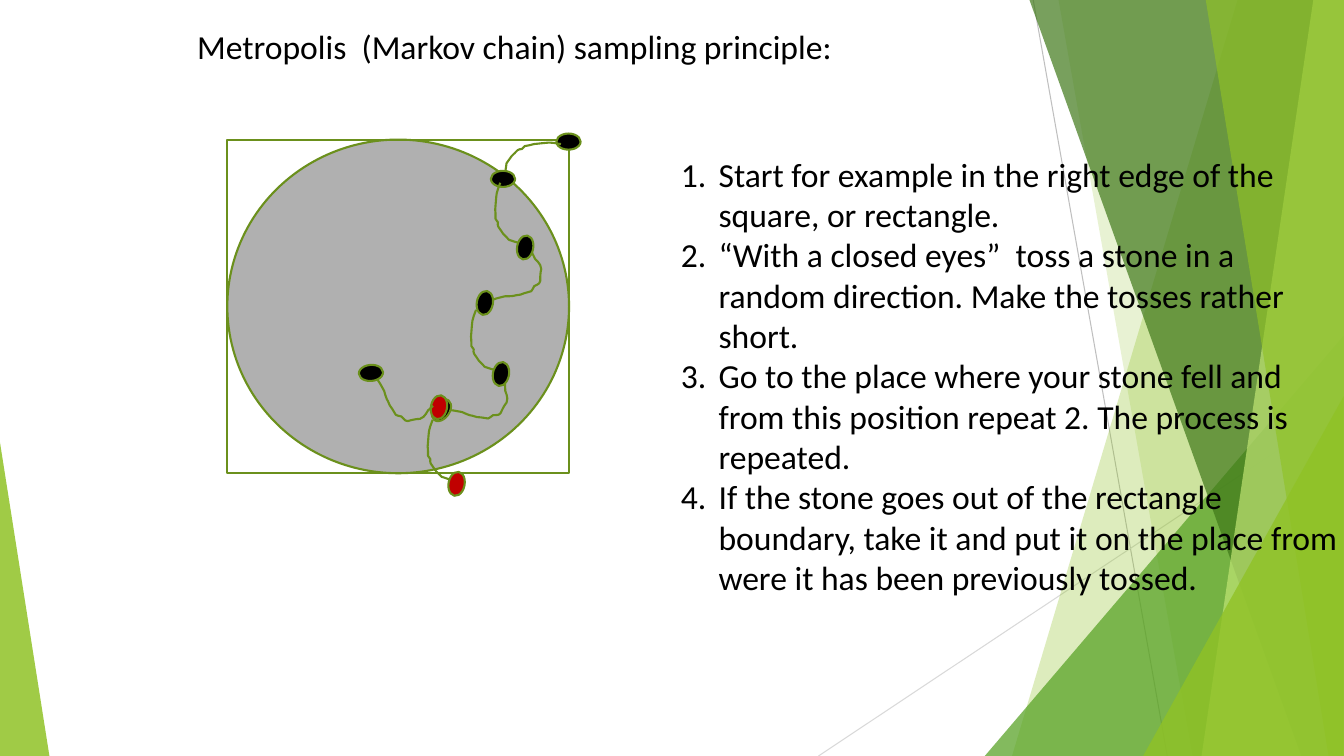
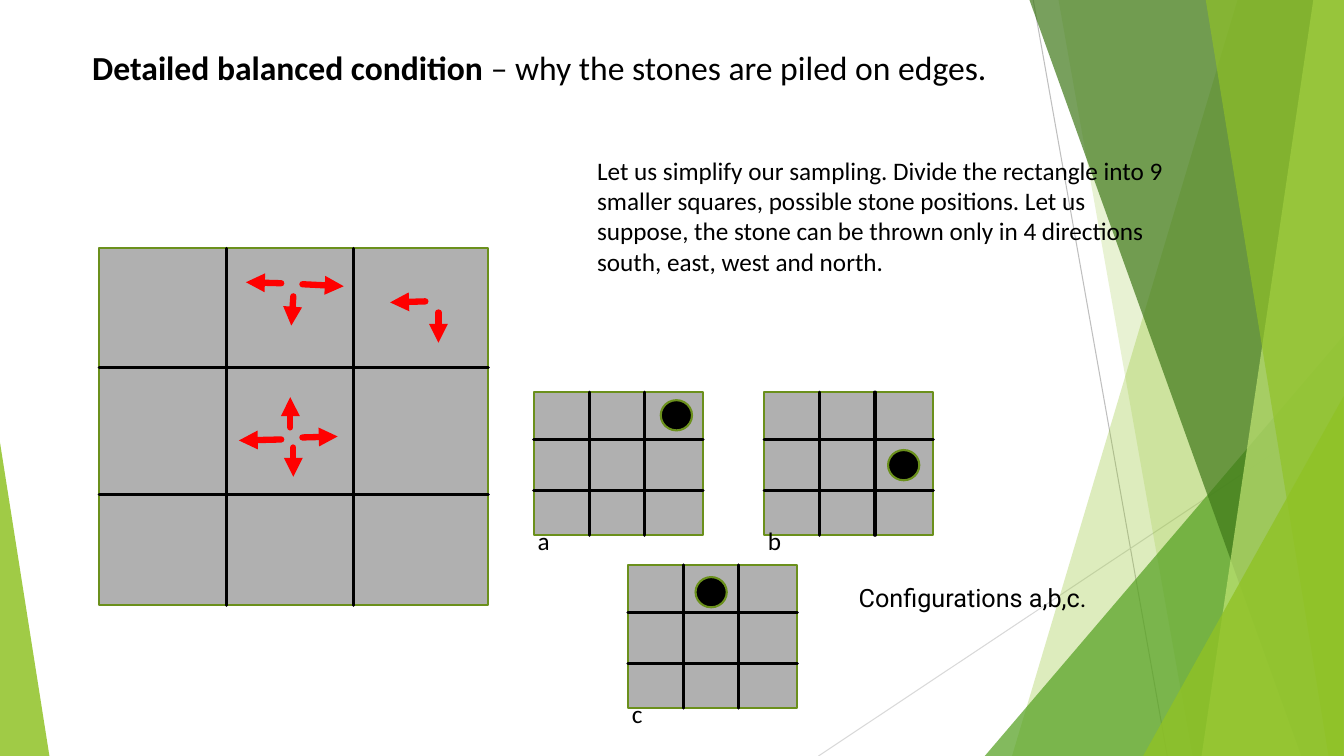
from lxml.etree import SubElement
from pptx import Presentation
from pptx.dml.color import RGBColor
from pptx.enum.shapes import MSO_CONNECTOR as LINK, MSO_SHAPE as SHAPE
from pptx.enum.text import MSO_ANCHOR as ANCHOR, MSO_AUTO_SIZE as FIT, PP_ALIGN as ALIGN
from pptx.oxml.ns import qn
from pptx.util import Inches, Pt

COLS, ROWS = 133.33, 75  # grid cells of a tenth of an inch
LIME, OLIVE, GREY = "90C226", "6B901C", "B0B0B0"
BLACK, RED, CRIMSON = "000000", "FF0000", "C00000"

# The two kinds of toss, in grid cells: a start, then straight parts (one point)
# and curved parts (two handles and an end)
HOOK = [
    [(5.5, 0.2)],
    [(4.3, 0), (4.7, 0), (2.8, 0.2)],
    [(2.5, 0.3), (1.9, 0.4), (1.9, 0.4)],
    [(1.8, 0.5), (1.7, 0.6), (1.6, 0.7)],
    [(1.5, 0.7), (1.3, 0.7), (1.2, 0.8)],
    [(1, 1), (0.8, 1.2), (0.6, 1.4)],
    [(0.1, 2.1)],
    [(0, 2.9), (0, 2.6), (0, 3.2)],
]
WAVE = [
    [(4.7, 0)],
    [(4.8, 0.2), (4.9, 0.4), (5, 0.6)],
    [(5.2, 0.8), (5.4, 1), (5.5, 1.2)],
    [(5.6, 1.6)],
    [(5.5, 2), (5.5, 2.4), (5.5, 2.8)],
    [(5.4, 3.2), (5.1, 3.1), (4.9, 3.3)],
    [(4.8, 3.5), (4.7, 3.7), (4.6, 3.8)],
    [(4.4, 3.9), (4.1, 3.9), (3.9, 4)],
    [(3.7, 4.1), (3.4, 4.2), (3.1, 4.2)],
    [(2.8, 4.3), (2.4, 4.3), (2, 4.3)],
    [(1.7, 4.4), (1.5, 4.4), (1.2, 4.5)],
    [(1.1, 4.5), (1, 4.5), (0.9, 4.6)],
    [(0.3, 4.7), (0.4, 4.7), (0, 4.7)],
]


def cell(n):
    return Inches(n / 10)


def rgb(code):
    return RGBColor.from_string(code)


def bend(shape, parts):
    """Turn each run of three straight steps in a freeform into one curve."""
    steps = shape.element.findall(".//" + qn("a:lnTo"))
    for part in parts[1:]:
        own, steps = steps[:len(part)], steps[len(part):]
        if len(own) == 3:
            own[0].tag = qn("a:cubicBezTo")
            for step in own[1:]:
                own[0].append(step[0])
                step.getparent().remove(step)


class Deck:
    def __init__(self):
        self.show = Presentation()
        self.show.slide_width, self.show.slide_height = cell(COLS), cell(ROWS)
        self.layout = self.show.slide_layouts[5]
        self.slide = None

    def add(self):
        self.slide = self.show.slides.add_slide(self.layout)

    def share(self):
        """Move the shapes drawn so far to the layout and drop its footers."""
        tree = self.layout.shapes.element
        for holder in list(self.layout.placeholders):
            if holder.placeholder_format.idx >= 10:
                tree.remove(holder.element)
        drawn = [s for s in self.slide.shapes if not s.is_placeholder]
        for n, shape in enumerate(drawn):
            shape.element.xpath("./*/p:cNvPr")[0].set("id", str(100 + n))
            tree.insert(2 + n, shape.element)

    def paint(self, shape, fill=None, line=None, alpha=100):
        shape.shadow.inherit = False
        if fill:
            shape.fill.solid()
            shape.fill.fore_color.rgb = rgb(fill)
            if alpha < 100:
                tint = shape.element.spPr.find(".//" + qn("a:srgbClr"))
                SubElement(tint, qn("a:alpha"), val=str(alpha * 1000))
        else:
            shape.fill.background()
        if line:
            shape.line.color.rgb = rgb(line)
            shape.line.width = Pt(1.5)
        else:
            shape.line.fill.background()
        return shape

    def shape(self, kind, x, y, w, h, **look):
        new = self.slide.shapes.add_shape(kind, cell(x), cell(y), cell(w), cell(h))
        return self.paint(new, **look)

    def outline(self, dots, close, **look):
        spots = [(cell(x), cell(y)) for x, y in dots]
        pen = self.slide.shapes.build_freeform(*spots[0])
        pen.add_line_segments(spots[1:], close=close)
        return self.paint(pen.convert_to_shape(), **look)

    def panel(self, top, foot, fill, alpha):
        """Draw a band from a slanted left side to the right slide edge."""
        dots = [(top, -0.1), (COLS, -0.1), (COLS, ROWS), (foot, ROWS)]
        self.outline(dots, True, fill=fill, alpha=alpha)

    def wedge(self, x, y, w, tip, fill, alpha):
        """Draw a triangle that stands on the foot of the slide."""
        new = self.shape(SHAPE.ISOSCELES_TRIANGLE, x, y, w, ROWS - y, fill=fill, alpha=alpha)
        new.adjustments[0] = tip

    def trail(self, parts, x, y, turn):
        """Draw a curve with its centre at x, y."""
        new = self.outline([dot for part in parts for dot in part], False, line=OLIVE)
        bend(new, parts)
        new.left, new.top = cell(x) - new.width // 2, cell(y) - new.height // 2
        new.rotation = turn

    def stone(self, x, y, w=2.4, h=1.6, turn=0, fill=BLACK):
        new = self.shape(SHAPE.OVAL, x - w / 2, y - h / 2, w, h, fill=fill, line=OLIVE)
        new.rotation = turn

    def line(self, x1, y1, x2, y2, color=BLACK, width=2.25, head=False):
        new = self.slide.shapes.add_connector(LINK.STRAIGHT, *map(cell, (x1, y1, x2, y2)))
        new.line.color.rgb = rgb(color)
        new.line.width = Pt(width)
        stroke = new.element.spPr.find(qn("a:ln"))
        stroke.set("cap", "rnd")
        if head:
            SubElement(stroke, qn("a:tailEnd"), type="triangle")
        SubElement(new.element.spPr, qn("a:effectLst"))

    def run(self, para, text, size, font="Calibri", bold=False):
        run = para.add_run()
        run.text = text
        run.font.size, run.font.name, run.font.bold = Pt(size), font, bold
        run.font.color.rgb = rgb(BLACK)

    def title(self, x, y, w, *runs):
        """Place the title; each run is a text and whether it is bold."""
        box = self.slide.shapes.title
        box.left, box.top, box.width, box.height = map(cell, (x, y, w, 5))
        frame = box.text_frame
        frame.auto_size, frame.vertical_anchor = FIT.NONE, ANCHOR.TOP
        para = frame.paragraphs[0]
        para.alignment = ALIGN.LEFT
        for text, bold in runs:
            self.run(para, text, 24, bold=bold)

    def text(self, x, y, w, h, *lines, size=18, font="Calibri", count=False):
        box = self.slide.shapes.add_textbox(*map(cell, (x, y, w, h)))
        frame = box.text_frame
        frame.word_wrap = True
        for n, line in enumerate(lines):
            para = frame.add_paragraph() if n else frame.paragraphs[0]
            self.run(para, line, size, font)
            if count:
                props = para._p.get_or_add_pPr()
                props.set("marL", str(cell(3.75)))
                props.set("indent", str(-cell(3.75)))
                SubElement(props, qn("a:buFont"), typeface="+mj-lt")
                SubElement(props, qn("a:buAutoNum"), type="arabicPeriod")

    def board(self, x, y, w, h, cols, rows):
        """Draw a board that is cut at the given distances from its corner."""
        self.shape(SHAPE.RECTANGLE, x, y, w, h, fill=GREY, line=OLIVE)
        for cut in cols:
            self.line(x + cut, y, x + cut, y + h)
        for cut in rows:
            self.line(x + w, y + cut, x, y + cut)


def backdrop(deck):
    deck.line(102.5, 0, 115.8, ROWS, "BFBFBF", 0.75)
    deck.line(COLS, 40.3, 81.2, ROWS, "D9D9D9", 0.75)
    deck.panel(122.8, 100.4, LIME, 30)
    deck.panel(105, 118.3, LIME, 20)
    deck.wedge(97.7, 33.3, 35.6, 1, "54A021", 72)
    deck.panel(102.1, 129.1, "3F7819", 70)
    deck.panel(130.3, 119.2, "C0E474", 70)
    deck.panel(119.6, 131.8, LIME, 65)
    deck.wedge(113.4, 39.3, 19.9, 1, LIME, 80)
    deck.wedge(0, 43.9, 4.9, 0, LIME, 85)
    deck.share()


def sampling(deck):
    deck.title(17.8, 2.1, 77.2, (" Metropolis  (Markov chain) sampling principle:", False))
    area = 22.55, 13.85, 33.9, 33.1
    deck.shape(SHAPE.OVAL, *area, fill=GREY, line=OLIVE)
    deck.shape(SHAPE.RECTANGLE, *area, line=OLIVE)
    deck.stone(56.4, 14.05)
    tilt = 280.6
    # Each toss: curve, its centre and turn, then the stone's centre, turn and fill
    tosses = [
        (HOOK, 52.9, 15.7, 0, 49.9, 17.75, 0, BLACK),
        (HOOK, 50.5, 21.1, tilt, 52.1, 24.55, tilt, BLACK),
        (WAVE, 50.9, 27.45, 0, 48.1, 30.05, tilt, BLACK),
        (WAVE, 47.4, 39.45, 24.7, 43.8, 40.7, 305.3, BLACK),
        (HOOK, 48.1, 33.7, tilt, 49.7, 37.1, tilt, BLACK),
        (HOOK, 43.8, 44.6, tilt, 45.3, 48, tilt, CRIMSON),
    ]
    for parts, x, y, turn, left, top, lean, fill in tosses:
        deck.trail(parts, x, y, turn)
        deck.stone(left, top, turn=lean, fill=fill)
    deck.stone(43.55, 40.4, turn=tilt, fill=CRIMSON)
    deck.trail(WAVE, 40.2, 39.05, 74.9)
    deck.stone(36.8, 37, turn=355.4)
    deck.text(
        66.55, 14.75, 68.2, 41.4,
        "Start for example in the right edge of the square, or rectangle.",
        "“With a closed eyes”  toss a stone in a random direction. "
        "Make the tosses rather short.",
        "Go to the place where your stone fell and from this position repeat 2. "
        "The process is repeated.",
        "If the stone goes out of the rectangle boundary, take it and put it on "
        "the place from were it has been previously tossed.",
        size=24, count=True)


def balance(deck):
    deck.title(8.15, 4.2, 102.3, ("Detailed balanced condition ", True),
               ("– why the stones are piled on edges.", False))
    deck.board(9.85, 24.65, 38.6, 35.4, (12.6, 25.2), (11.8, 24.4))
    arrows = [
        (28.8, 42.4, 28.8, 39.4), (30, 43.4, 33.5, 43.3),
        (27.9, 43.6, 23.7, 43.7), (29.1, 44.4, 29.1, 47.3),
        (43.5, 31, 43.5, 34), (42.2, 29.9, 38.7, 30),
        (29.1, 29.4, 28.9, 32.3), (27.9, 28.1, 24.4, 28), (30, 28.2, 34.1, 28.4),
    ]
    for ends in arrows:
        deck.line(*ends, color=RED, width=4.5, head=True)
    deck.text(58.25, 14.9, 58.6, 13.1,
              "Let us simplify our sampling. Divide the rectangle into 9 smaller squares, "
              "possible stone positions. Let us suppose, the stone can be thrown only in "
              "4 directions south, east, west and north.")
    # Each board: name, corner, then the stone's centre
    boards = [("a", 52.95, 38.9, 67.1, 41.2), ("b", 75.8, 38.9, 89.65, 46.15),
              ("c", 62.3, 56.05, 70.55, 58.75)]
    for name, x, y, left, top in boards:
        deck.board(x, y, 16.8, 14.2, (5.5, 11), (4.7, 9.75))
        deck.stone(left, top, 3.1, 3)
        deck.text(x - 0.6, y + 12.75, 4.1, 4, name)
    deck.text(84.2, 57.25, 29.7, 4, "Configurations a,b,c.", font="Roboto")


def main():
    deck = Deck()
    deck.add()
    backdrop(deck)
    sampling(deck)
    deck.add()
    balance(deck)
    deck.show.save("out.pptx")


if __name__ == "__main__":
    main()
